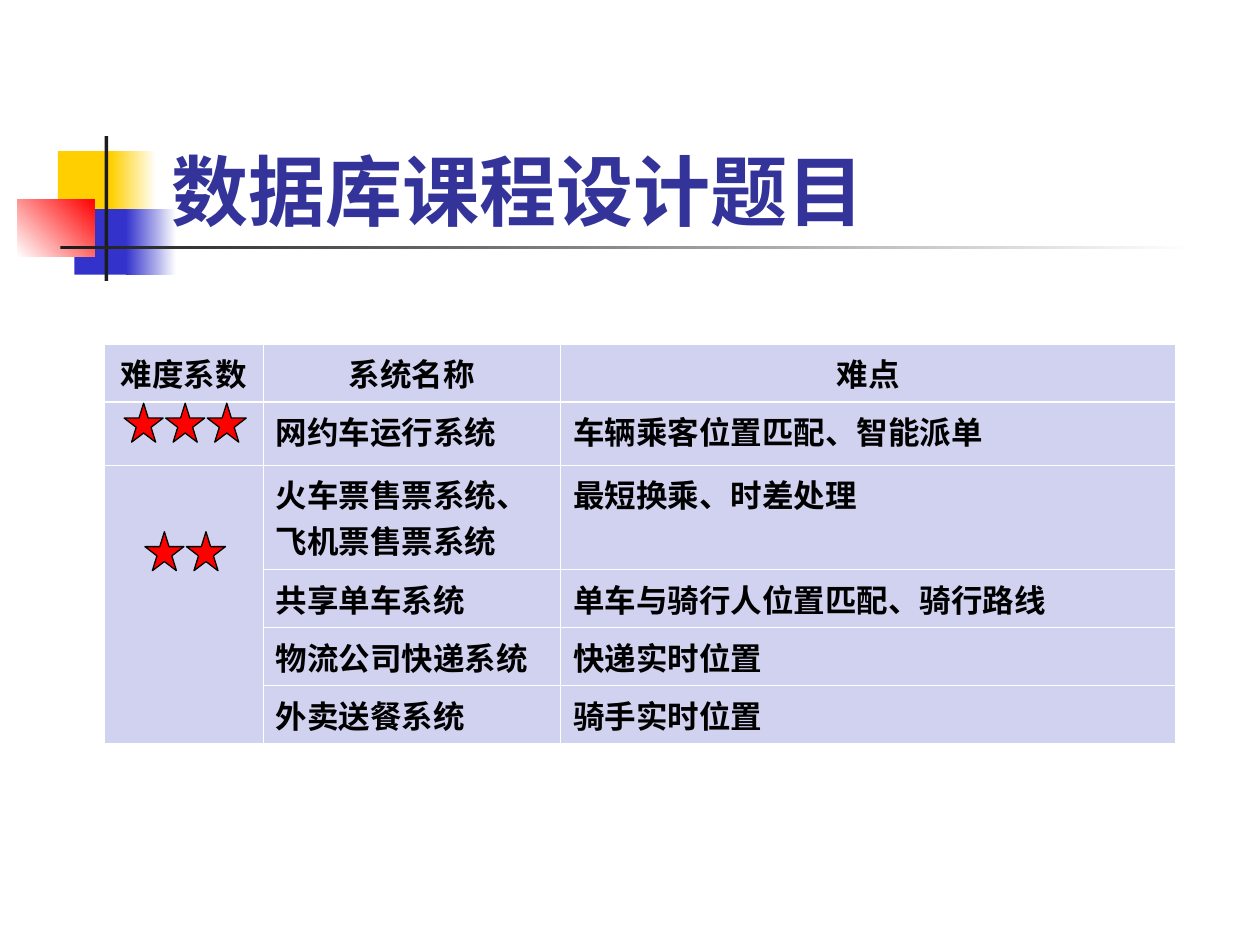
from lxml import etree
from pptx import Presentation
from pptx.dml.color import RGBColor
from pptx.enum import shapes, text
from pptx.oxml.ns import qn
from pptx.util import Inches, Pt

YELLOW = RGBColor(0xFF, 0xCF, 0x01)
BLUE = RGBColor(0x33, 0x33, 0xCC)
RED = RGBColor(0xFF, 0x00, 0x00)
CHARCOAL = RGBColor(0x1C, 0x1C, 0x1C)
WHITE = RGBColor(0xFF, 0xFF, 0xFF)
BLACK = RGBColor(0x00, 0x00, 0x00)
INDIGO = RGBColor(0x33, 0x33, 0x99)
LAVENDER = RGBColor(0xD1, 0xD1, 0xF0)

TITLE_FONT = {"name": "Cabin", "size": Pt(44), "bold": True}
CELL_FONT = {"name": "Cabin", "size": Pt(18), "bold": True}
CELL_MARGINS = {
    "margin_left": Inches(0.1), "margin_right": Inches(0.1),
    "margin_top": Inches(0.05), "margin_bottom": Inches(0.05),
}

ORNAMENTS = [
    ((0.46, 1.2, 0.48, 0.52), (YELLOW,), 0),
    ((0.88, 1.2, 0.36, 0.52), (YELLOW, WHITE), 0),
    ((0.59, 1.66, 0.46, 0.52), (BLUE,), 0),
    ((1, 1.66, 0.4, 0.52), (BLUE, WHITE), 0),
    ((0.14, 1.58, 0.61, 0.46), (WHITE, RED), 45),
    ((0.83, 1.08, 0.03, 1.15), (CHARCOAL,), 0),
    ((0.48, 1.95, 9, 0.03), (CHARCOAL, WHITE), 0),
]

TOPICS = [
    ("难度系数", "系统名称", "难点"),
    ("", "网约车运行系统", "车辆乘客位置匹配、智能派单"),
    ("", "火车票售票系统、飞机票售票系统", "最短换乘、时差处理"),
    ("", "共享单车系统", "单车与骑行人位置匹配、骑行路线"),
    ("", "物流公司快递系统", "快递实时位置"),
    ("", "外卖送餐系统", "骑手实时位置"),
]
COLUMN_WIDTHS = (1.26, 2.36, 4.88)
ROW_HEIGHTS = (0.46, 0.5, 0.83, 0.46, 0.46, 0.46)

STAR_SIZE = 0.31
STAR_PITCH = 0.33
STAR_CENTER = 1.47
STAR_RATINGS = ((3, 3.2), (2, 4.22))


def apply_format(target, values):
    for attribute, value in values.items():
        setattr(target, attribute, value)


def add_ornament(slide, box, colors, angle):
    block = slide.shapes.add_shape(shapes.MSO_SHAPE.RECTANGLE, *map(Inches, box))
    block.shadow.inherit = False
    block.line.fill.background()
    if len(colors) == 1:
        block.fill.solid()
        block.fill.fore_color.rgb = colors[0]
        return
    block.fill.gradient()
    block.fill.gradient_angle = angle
    for stop, color, position in zip(block.fill.gradient_stops, colors, (0, 1)):
        apply_format(stop, {"position": position})
        stop.color.rgb = color


def add_title(slide, wording):
    box = map(Inches, (1.26, 0.67, 8.52, 1.25))
    frame = slide.shapes.add_textbox(*box).text_frame
    apply_format(frame, {"word_wrap": True, "vertical_anchor": text.MSO_ANCHOR.BOTTOM})
    run = frame.paragraphs[0].add_run()
    run.text = wording
    apply_format(run.font, TITLE_FONT)
    run.font.color.rgb = INDIGO


def set_borders(cell, widths):
    properties = cell._tc.get_or_add_tcPr()
    for index, (side, width) in enumerate(widths.items()):
        border = etree.Element(qn(f"a:ln{side}"), w=str(Pt(width)))
        fill = etree.SubElement(border, qn("a:solidFill"))
        etree.SubElement(fill, qn("a:srgbClr"), val=str(WHITE))
        properties.insert(index, border)


def fill_cell(cell, wording, row):
    apply_format(cell, CELL_MARGINS)
    cell.fill.solid()
    cell.fill.fore_color.rgb = LAVENDER
    top = 1.47 if row == 1 else 0.45
    bottom = 1.47 if row == 0 else 0.45
    set_borders(cell, {"L": 0.45, "R": 0.45, "T": top, "B": bottom})
    paragraph = cell.text_frame.paragraphs[0]
    paragraph.alignment = text.PP_ALIGN.CENTER if row == 0 else text.PP_ALIGN.LEFT
    if wording:
        run = paragraph.add_run()
        run.text = wording
        apply_format(run.font, CELL_FONT)
        run.font.color.rgb = BLACK


def add_topic_table(slide):
    size = (sum(COLUMN_WIDTHS), sum(ROW_HEIGHTS))
    box = map(Inches, (0.83, 2.73, *size))
    topics = slide.shapes.add_table(len(TOPICS), len(COLUMN_WIDTHS), *box).table
    for column, width in zip(topics.columns, COLUMN_WIDTHS):
        column.width = Inches(width)
    for row, height in zip(topics.rows, ROW_HEIGHTS):
        row.height = Inches(height)
    for row, wordings in enumerate(TOPICS):
        for column, wording in enumerate(wordings):
            fill_cell(topics.cell(row, column), wording, row)
    topics.cell(2, 0).merge(topics.cell(len(TOPICS) - 1, 0))


def add_rating(slide, count, top):
    left = STAR_CENTER - ((count - 1) * STAR_PITCH + STAR_SIZE) / 2
    for index in range(count):
        box = (left + index * STAR_PITCH, top, STAR_SIZE, STAR_SIZE)
        star = slide.shapes.add_shape(
            shapes.MSO_SHAPE.STAR_5_POINT, *map(Inches, box))
        star.shadow.inherit = False
        star.fill.solid()
        star.fill.fore_color.rgb = RED
        star.line.color.rgb = BLACK
        star.line.width = Pt(0.75)


def main():
    deck = Presentation()
    apply_format(deck, {"slide_width": Inches(10), "slide_height": Inches(7.5)})
    slide = deck.slides.add_slide(deck.slide_layouts[6])
    for box, colors, angle in ORNAMENTS:
        add_ornament(slide, box, colors, angle)
    add_title(slide, "数据库课程设计题目")
    add_topic_table(slide)
    for count, top in STAR_RATINGS:
        add_rating(slide, count, top)
    deck.save("out.pptx")


if __name__ == "__main__":
    main()
